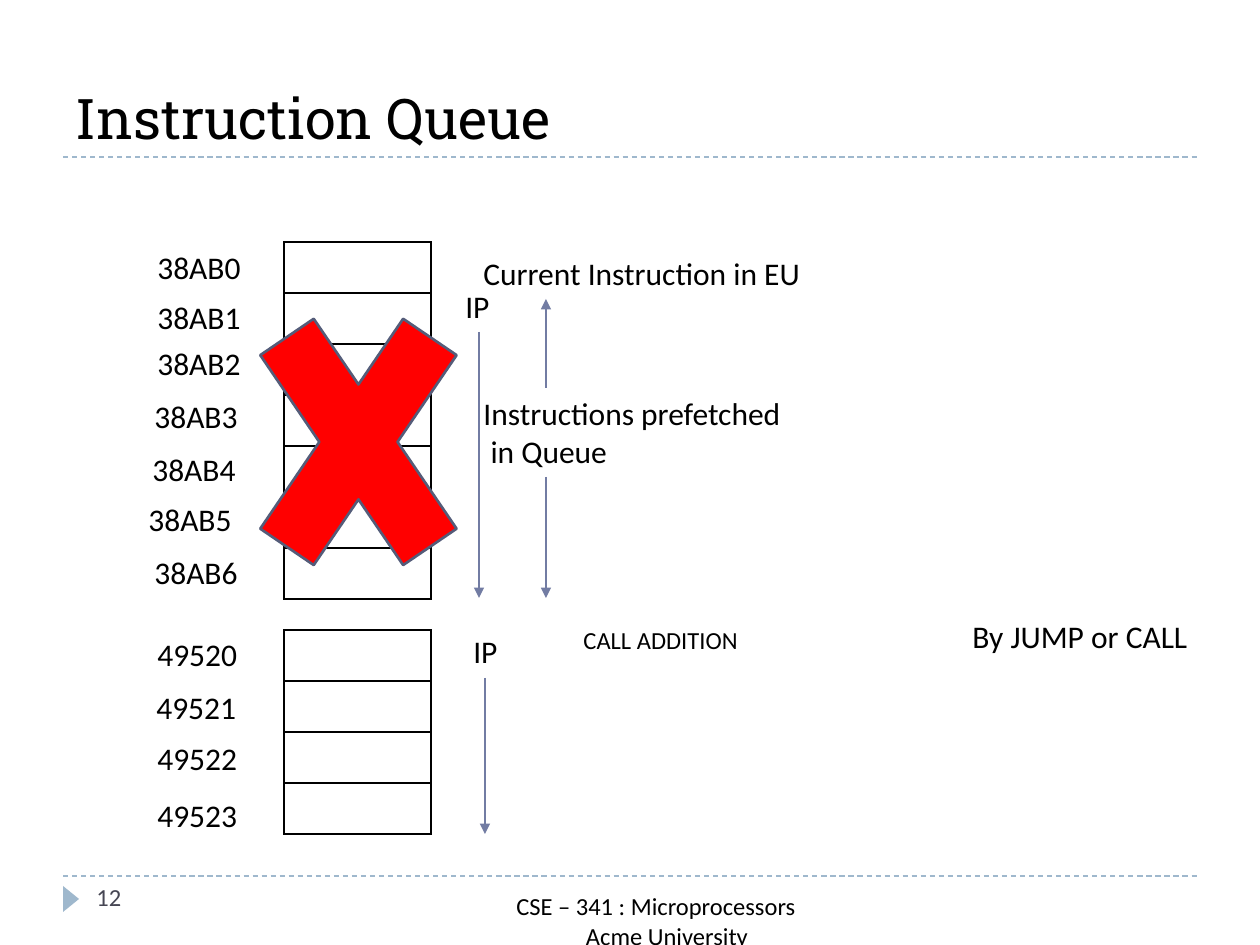
from dataclasses import dataclass

from lxml import etree
from pptx import Presentation
from pptx.dml.color import RGBColor
from pptx.enum.dml import MSO_LINE
from pptx.enum.shapes import MSO_CONNECTOR, MSO_SHAPE
from pptx.enum.text import MSO_ANCHOR, PP_ALIGN
from pptx.oxml import parse_xml
from pptx.oxml.ns import nsdecls, qn
from pptx.util import Pt

STRAIGHT = MSO_CONNECTOR.STRAIGHT
DASH = MSO_LINE.DASH
LEFT, CENTER = PP_ALIGN.LEFT, PP_ALIGN.CENTER
BOTTOM = MSO_ANCHOR.BOTTOM
PX = 914400 / 126
TITLE_ONLY = 5


@dataclass(frozen=True)
class Theme:
    ink: str = "000000"
    muted: str = "464653"
    rule: str = "9FB8CD"
    arrow: str = "727CA3"
    cross: str = "FF0000"
    cross_edge: str = "545C79"
    heading_font: str = "Roboto Slab"
    body_font: str = "Calibri"
    heading: int = 32
    body: int = 18
    small: int = 14


theme = Theme()
rgb = RGBColor.from_string


def add_text(place, text, size=theme.body, color=theme.ink, align=LEFT, wrap=False):
    box = page.shapes.add_textbox(*[round(n * PX) for n in place])
    box.text_frame.word_wrap = wrap
    box.text_frame.text = text
    for para in box.text_frame.paragraphs:
        para.alignment = align
        for span in para.runs:
            span.font.name = theme.body_font
            span.font.size = Pt(size)
            span.font.color.rgb = rgb(color)
    return box


def add_line(ends, color):
    line = page.shapes.add_connector(STRAIGHT, *[round(n * PX) for n in ends])
    line.line.color.rgb = rgb(color)
    line.line.width = Pt(0.75)
    etree.SubElement(line._element.spPr, qn("a:effectLst"))
    return line


deck = Presentation()
deck.slide_width, deck.slide_height = round(1260 * PX), round(945 * PX)
page = deck.slides.add_slide(deck.slide_layouts[TITLE_ONLY])

# Dashed rules and page marker
for y in (876, 157):
    add_line((63, y, 1197, y), theme.rule).line.dash_style = DASH
marker = page.shapes.add_shape(
    MSO_SHAPE.ISOSCELES_TRIANGLE, *[round(n * PX) for n in (58, 891, 26, 16)])
marker.rotation = 90
marker.shadow.inherit = False
marker.fill.solid()
marker.fill.fore_color.rgb = rgb(theme.rule)
marker.line.fill.background()

# Title
title = page.shapes.title
title.left, title.top, title.width, title.height = [
    round(n * PX) for n in (63, 21, 1134, 136)]
title.text_frame.text = "Instruction Queue"
title.text_frame.vertical_anchor = BOTTOM
heading = title.text_frame.paragraphs[0]
heading.alignment = LEFT
heading_font = heading.runs[0].font
heading_font.name = theme.heading_font
heading_font.size = Pt(theme.heading)
heading_font.color.rgb = rgb(theme.ink)

# Page number and footer
add_text((84, 876, 273, 50), "12", theme.small, theme.muted, wrap=True)
footer = add_text((231, 885, 850, 50), "CSE – 341 : Microprocessors\nAcme University",
                  theme.small, align=CENTER, wrap=True)
footer.text_frame.paragraphs[1]._p.get_or_add_pPr().set("marL", str(round(22 * PX)))

# Memory blocks
ROW, COLUMN = 51, 147
for top, count in ((242, 7), (630, 4)):
    frame = page.shapes.add_table(
        count, 1, *[round(n * PX) for n in (284, top, COLUMN, ROW * count)])
    memory = frame.table
    memory.first_row = memory.horz_banding = False
    for row in memory.rows:
        cell = row.cells[0]
        cell.text_frame.paragraphs[0].font.size = Pt(theme.body)
        borders = cell._tc.get_or_add_tcPr()
        for side in ("lnL", "lnR", "lnT", "lnB"):
            borders.append(parse_xml(
                f'<a:{side} {nsdecls("a")} w="12700"><a:solidFill>'
                f'<a:srgbClr val="{theme.ink}"/></a:solidFill></a:{side}>'))
        cell.fill.background()

# Addresses
for address, x, y in (
    ("38AB0", 145, 242), ("38AB1", 145, 292), ("38AB2", 145, 338),
    ("38AB3", 142, 391), ("38AB4", 140, 444), ("38AB5", 136, 494),
    ("38AB6", 142, 547), ("49520", 145, 629), ("49521", 144, 682),
    ("49522", 145, 733), ("49523", 145, 790),
):
    add_text((x, y, 112, 50), address)

# Notes beside the blocks
add_text((471, 248, 358, 50), "Current Instruction in EU")
add_text((471, 388, 324, 89), "Instructions prefetched\n in Queue")
add_text((960, 611, 243, 89), "By JUMP or CALL", wrap=True)
add_text((571, 619, 243, 43), "CALL ADDITION", theme.small, wrap=True)
for x, y in ((453, 281), (461, 626)):
    add_text((x, y, 52, 50), "IP")

# Arrows for the queue span and the instruction pointer
for x, start, end in ((546, 388, 299), (546, 477, 598), (485, 678, 834), (479, 332, 598)):
    arrow = add_line((x, start, x, end), theme.arrow)
    etree.SubElement(arrow.line._get_or_add_ln(), qn("a:tailEnd"), type="triangle")

# Cross over the discarded instructions
cross = page.shapes.add_shape(
    MSO_SHAPE.MATH_MULTIPLY, *[round(n * PX) for n in (221, 240, 275, 404)])
cross.shadow.inherit = False
cross.fill.solid()
cross.fill.fore_color.rgb = rgb(theme.cross)
cross.line.color.rgb = rgb(theme.cross_edge)
cross.line.width = Pt(1.5)

deck.save("out.pptx")
